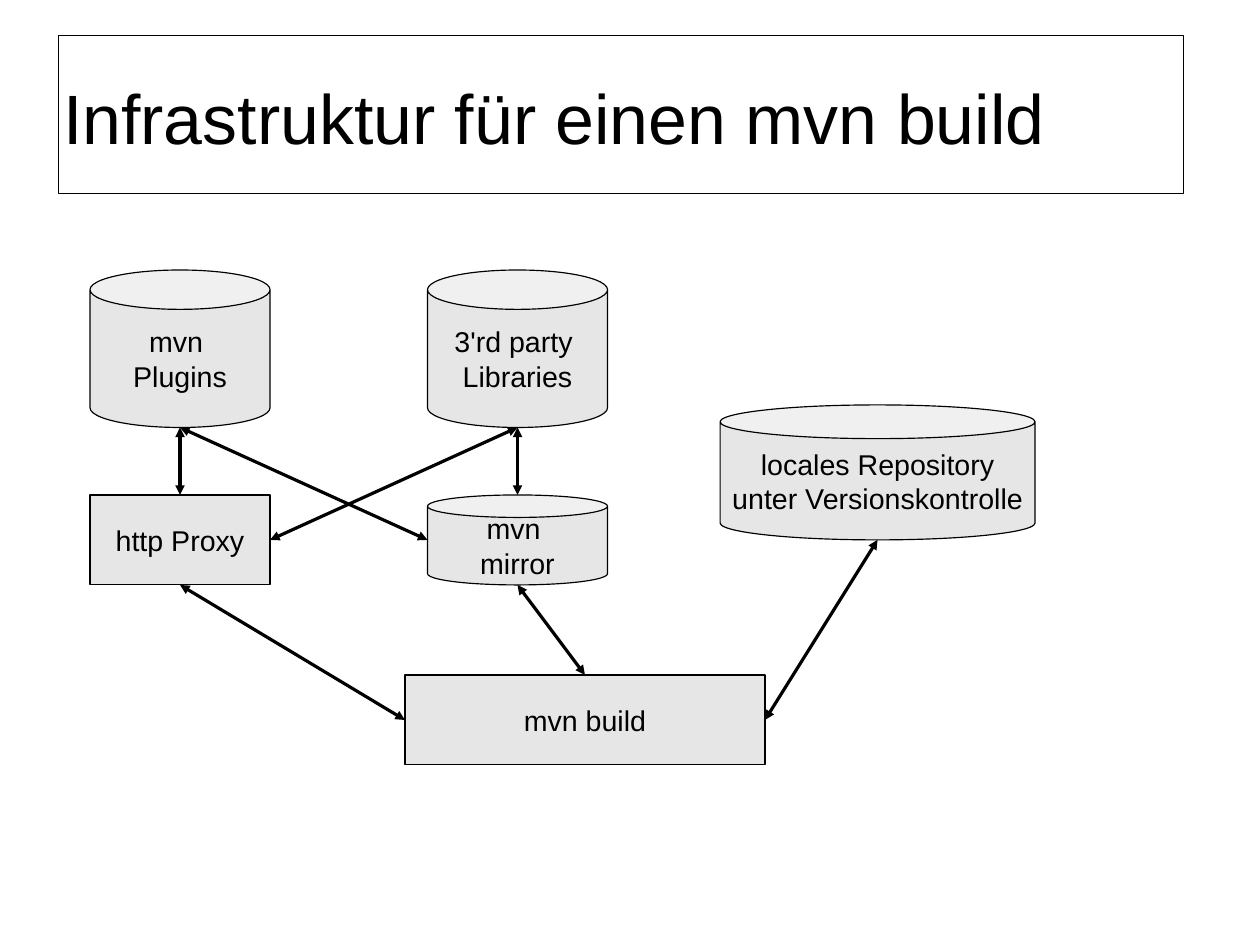
from lxml import etree
from pptx import Presentation
from pptx.dml.color import RGBColor
from pptx.enum.shapes import MSO_CONNECTOR, MSO_SHAPE
from pptx.enum.text import MSO_ANCHOR, PP_ALIGN
from pptx.oxml.ns import qn
from pptx.util import Pt

CAN = MSO_SHAPE.CAN
RECTANGLE = MSO_SHAPE.RECTANGLE
STRAIGHT = MSO_CONNECTOR.STRAIGHT
MIDDLE = MSO_ANCHOR.MIDDLE
CENTER = PP_ALIGN.CENTER
LEFT = PP_ALIGN.LEFT
TOP_SIDE, LEFT_SIDE, BOTTOM_SIDE, RIGHT_SIDE = range(4)
TITLE_ONLY = 5
BLACK = "000000"
LIGHT_GRAY = "E6E6E6"

NODES = {
    "plugins": (CAN, (0, 0, 113.4, 99.2), ["mvn ", "Plugins"]),
    "libraries": (CAN, (212.6, 0, 113.4, 99.2), ["3'rd party ", "Libraries"]),
    "repository": (CAN, (396.9, 85, 198.4, 85),
                   ["locales Repository", "unter Versionskontrolle"]),
    "build": (RECTANGLE, (198.4, 255.1, 226.8, 56.7), ["mvn build"]),
    "proxy": (RECTANGLE, (0, 141.7, 113.4, 56.7), ["http Proxy"]),
    "mirror": (CAN, (212.6, 141.7, 113.4, 56.7), ["mvn ", "mirror"]),
}

LINKS = [
    ("plugins", BOTTOM_SIDE, "proxy", TOP_SIDE),
    ("libraries", BOTTOM_SIDE, "proxy", RIGHT_SIDE),
    ("proxy", BOTTOM_SIDE, "build", LEFT_SIDE),
    ("plugins", BOTTOM_SIDE, "mirror", LEFT_SIDE),
    ("libraries", BOTTOM_SIDE, "mirror", TOP_SIDE),
    ("mirror", BOTTOM_SIDE, "build", TOP_SIDE),
    ("repository", BOTTOM_SIDE, "build", RIGHT_SIDE),
]


def color(value):
    return RGBColor.from_string(value)


def set_line(line, width):
    line.color.rgb = color(BLACK)
    line.width = Pt(width)


def add_text(paragraph, text, size, alignment):
    paragraph.alignment = alignment
    run = paragraph.add_run()
    run.text = text
    run.font.name = "Arial"
    run.font.size = Pt(size)
    run.font.color.rgb = color(BLACK)


def add_title(slide, left, top, width, height):
    frame = slide.shapes.add_shape(RECTANGLE, Pt(left), Pt(top), Pt(width), Pt(height))
    frame.shadow.inherit = False
    frame.fill.background()
    set_line(frame.line, 0.57)

    title = slide.shapes.title
    title.left, title.top = Pt(left + 3), Pt(top + 1.4)
    title.width, title.height = Pt(width + 5.8), Pt(height)
    text_frame = title.text_frame
    text_frame.margin_left = text_frame.margin_right = 0
    text_frame.margin_top = text_frame.margin_bottom = 0
    text_frame.vertical_anchor = MIDDLE
    text_frame.word_wrap = True
    add_text(text_frame.paragraphs[0], "Infrastruktur für einen mvn build", 44, LEFT)


def add_node(slide, kind, left, top, width, height, lines):
    node = slide.shapes.add_shape(kind, Pt(left), Pt(top), Pt(width), Pt(height))
    node.shadow.inherit = False
    node.fill.solid()
    node.fill.fore_color.rgb = color(LIGHT_GRAY)
    set_line(node.line, 0)
    text_frame = node.text_frame
    text_frame.word_wrap = True
    text_frame.vertical_anchor = MIDDLE
    for index, text in enumerate(lines):
        paragraph = text_frame.add_paragraph() if index else text_frame.paragraphs[0]
        add_text(paragraph, text, 18, CENTER)
    return node


def side_middle(shape, side):
    center = shape.left + shape.width // 2
    middle = shape.top + shape.height // 2
    return {
        TOP_SIDE: (center, shape.top),
        LEFT_SIDE: (shape.left, middle),
        BOTTOM_SIDE: (center, shape.top + shape.height),
        RIGHT_SIDE: (shape.left + shape.width, middle),
    }[side]


def add_link(slide, source, source_side, target, target_side):
    connector = slide.shapes.add_connector(
        STRAIGHT, *side_middle(source, source_side), *side_middle(target, target_side))
    if source.auto_shape_type == RECTANGLE:
        connector.begin_connect(source, source_side)
    if target.auto_shape_type == RECTANGLE:
        connector.end_connect(target, target_side)
    set_line(connector.line, 0)
    line = connector.line._get_or_add_ln()
    for end in ("a:headEnd", "a:tailEnd"):
        etree.SubElement(line, qn(end), type="triangle")
    etree.SubElement(connector._element.spPr, qn("a:effectLst"))


def add_diagram(slide, left, top):
    nodes = {}
    for name, (kind, (x, y, width, height), lines) in NODES.items():
        nodes[name] = add_node(slide, kind, left + x, top + y, width, height, lines)
    for source, source_side, target, target_side in LINKS:
        add_link(slide, nodes[source], source_side, nodes[target], target_side)


def main():
    presentation = Presentation()
    presentation.slide_width = Pt(793.7)
    presentation.slide_height = Pt(595.3)
    slide = presentation.slides.add_slide(presentation.slide_layouts[TITLE_ONLY])
    add_title(slide, 36.8, 22.5, 708.6, 99.2)
    add_diagram(slide, 56.7, 170.1)
    presentation.save("out.pptx")


if __name__ == "__main__":
    main()
